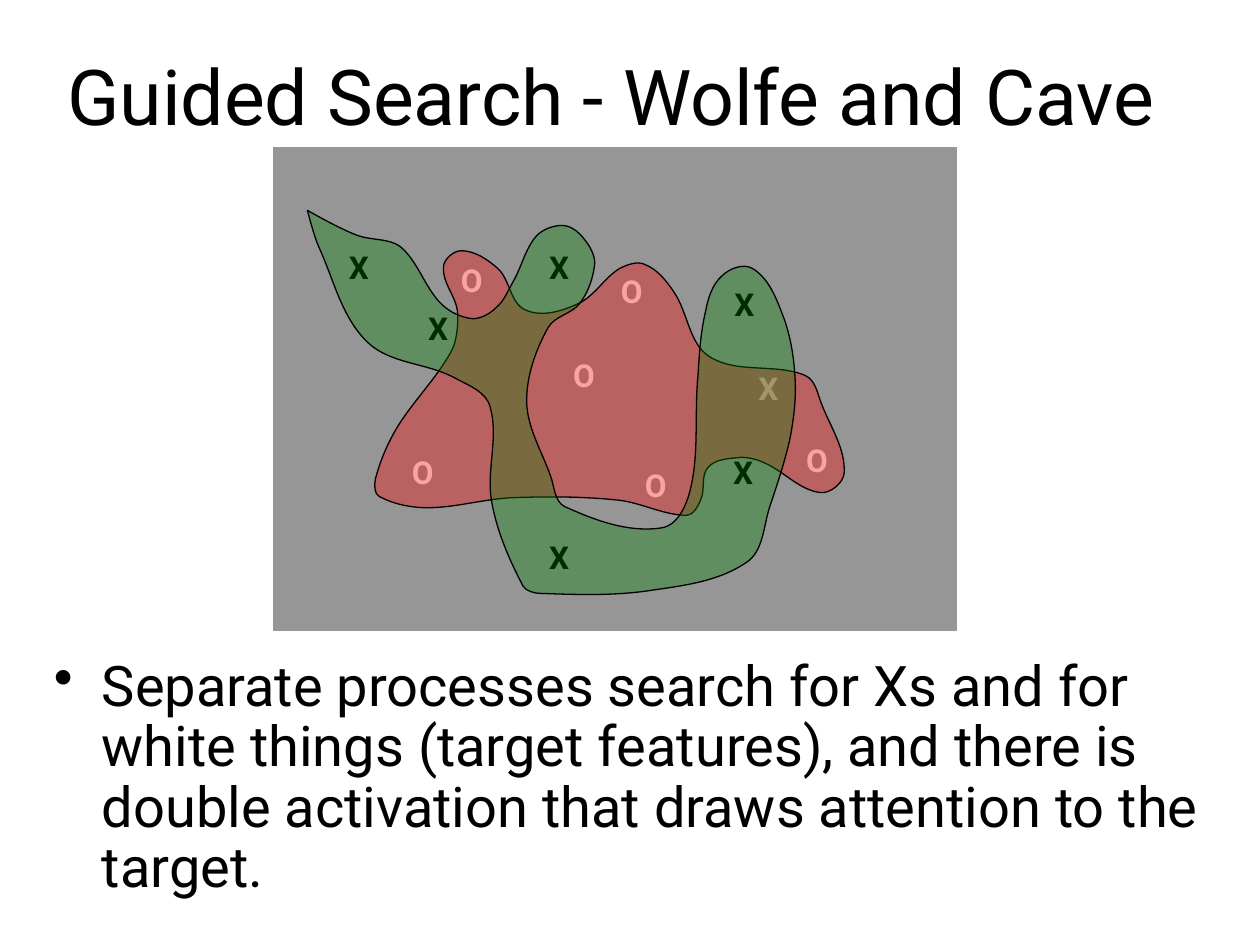
from dataclasses import dataclass
from math import dist

from lxml.etree import SubElement
from pptx import Presentation
from pptx.dml.color import RGBColor as RGB
from pptx.enum.shapes import MSO_SHAPE as Shape
from pptx.enum.text import MSO_ANCHOR as Anchor, PP_ALIGN as Align
from pptx.oxml.ns import qn
from pptx.util import Inches, Pt

COLS, ROWS = 1000, 750  # fine grid over the slide


@dataclass(frozen=True)
class Theme:
    font: str = "Roboto"
    title: int = 44
    body: int = 32
    label: int = 18
    ink: str = "000000"
    white: str = "FAFAFA"
    field: str = "969696"
    red: str = "FF0000"
    green: str = "008000"
    alpha: int = 35
    line: float = 0.75


# Points that each region's smooth outline passes through.
O_REGION = [
    (366, 199), (352, 212), (363, 246), (361, 272), (350, 292), (316, 338), (298, 380),
    (301, 394), (339, 403), (407, 395), (491, 397), (545, 409), (556, 397), (562, 371),
    (588, 363), (608, 368), (651, 391), (670, 375), (653, 323), (639, 298), (563, 283),
    (535, 232), (512, 210), (492, 213), (459, 241), (417, 246), (395, 213),
]
X_REGION = [
    (244, 167), (253, 196), (292, 272), (361, 300), (389, 323), (390, 397), (415, 465),
    (429, 471), (514, 469), (593, 446), (611, 402), (627, 348), (631, 300), (620, 247),
    (597, 213), (573, 219), (560, 247), (554, 298), (548, 388), (525, 419), (448, 402),
    (437, 378), (418, 318), (435, 260), (460, 241), (472, 209), (463, 189), (446, 179),
    (426, 187), (407, 224), (394, 244), (375, 253), (350, 241), (318, 196), (284, 187),
]


def smooth(points):
    """Handles and end of each cubic of a closed outline; sharp turns stay corners."""
    n = len(points)
    tangents = []
    for i, (x, y) in enumerate(points):
        (px, py), (nx, ny) = points[i - 1], points[(i + 1) % n]
        is_corner = (x - px) * (nx - x) + (y - py) * (ny - y) < 0
        length = 3 * dist((px, py), (nx, ny))
        tangents.append((0, 0) if is_corner else ((nx - px) / length, (ny - py) / length))
    curves = []
    for i, (x, y) in enumerate(points):
        j = (i + 1) % n
        (ex, ey), (tx, ty), (ux, uy) = points[j], tangents[i], tangents[j]
        reach = dist((x, y), (ex, ey))
        curves += [(x + tx * reach, y + ty * reach), (ex - ux * reach, ey - uy * reach), (ex, ey)]
    return curves


class SlideBuilder:
    def __init__(self, prs, theme):
        self.theme = theme
        self.s = prs.slides.add_slide(prs.slide_layouts[6])
        self.unit_x, self.unit_y = prs.slide_width / COLS, prs.slide_height / ROWS

    def box(self, x, y, w, h):
        return (round(x * self.unit_x), round(y * self.unit_y),
                round(w * self.unit_x), round(h * self.unit_y))

    def text(self, box, wording, size, color=None, bold=False, anchor=Anchor.TOP):
        tf = self.s.shapes.add_textbox(*self.box(*box)).text_frame
        tf.word_wrap, tf.vertical_anchor = True, anchor
        p = tf.paragraphs[0]
        r = p.add_run()
        r.text = wording
        r.font.name, r.font.size, r.font.bold = self.theme.font, Pt(size), bold
        r.font.color.rgb = RGB.from_string(color or self.theme.ink)
        return p

    def title(self, box, wording):
        self.text(box, wording, self.theme.title, anchor=Anchor.MIDDLE).alignment = Align.CENTER

    def bullet(self, box, wording):
        p = self.text(box, wording, self.theme.body)
        p.line_spacing = 0.9
        pPr = p._p.get_or_add_pPr()
        indent = Inches(0.38)
        pPr.set("marL", str(indent))
        pPr.set("indent", str(-indent))
        SubElement(pPr, qn("a:buChar"), char="•")

    def label(self, letter, x, y, color):
        self.text((x, y, 34, 50), letter, self.theme.label, color, bold=True)

    def paint(self, shape, fill, line):
        shape.shadow.inherit = False
        shape.fill.solid()
        shape.fill.fore_color.rgb = RGB.from_string(fill)
        shape.line.color.rgb = RGB.from_string(line)
        shape.line.width = Pt(self.theme.line)

    def panel(self, box, color):
        self.paint(self.s.shapes.add_shape(Shape.RECTANGLE, *self.box(*box)), color, color)

    def region(self, points, color):
        """Closed translucent outline of cubic curves."""
        builder = self.s.shapes.build_freeform(*points[0], scale=(self.unit_x, self.unit_y))
        builder.add_line_segments(smooth(points), close=True)
        shape = builder.convert_to_shape()
        self.paint(shape, color, self.theme.ink)
        steps = list(shape.element.iter(qn("a:lnTo")))
        for i in range(0, len(steps), 3):  # each three points make one curve
            outline = steps[i].getparent()
            curve = SubElement(outline, qn("a:cubicBezTo"))
            steps[i].addprevious(curve)
            for step in steps[i:i + 3]:
                curve.append(step[0])
                outline.remove(step)
        tint = next(shape.element.iter(qn("a:srgbClr")))
        SubElement(tint, qn("a:alpha"), val=str(self.theme.alpha * 1000))


def main():
    prs = Presentation()
    prs.slide_width, prs.slide_height = Inches(10), Inches(7.5)
    theme = Theme()
    slide = SlideBuilder(prs, theme)
    slide.title((23, 29, 925, 92), "Guided Search - Wolfe and Cave")
    slide.bullet((33, 517, 933, 208),
                 "Separate processes search for Xs and for white things (target features), "
                 "and there is double activation that draws attention to the target.")
    slide.panel((217, 117, 542, 383), theme.field)

    dark_xs = [(267, 192), (330, 240), (573, 221), (426, 192), (572, 355), (426, 422)]
    white_os = [(445, 278), (356, 202), (317, 355), (502, 365), (630, 345), (483, 211)]
    target = [(592, 288)]
    for letter, color, places in (("X", theme.ink, dark_xs), ("O", theme.white, white_os),
                                  ("X", theme.white, target)):
        for x, y in places:
            slide.label(letter, x, y, color)

    slide.region(O_REGION, theme.red)
    slide.region(X_REGION, theme.green)
    prs.save("out.pptx")


if __name__ == "__main__":
    main()
